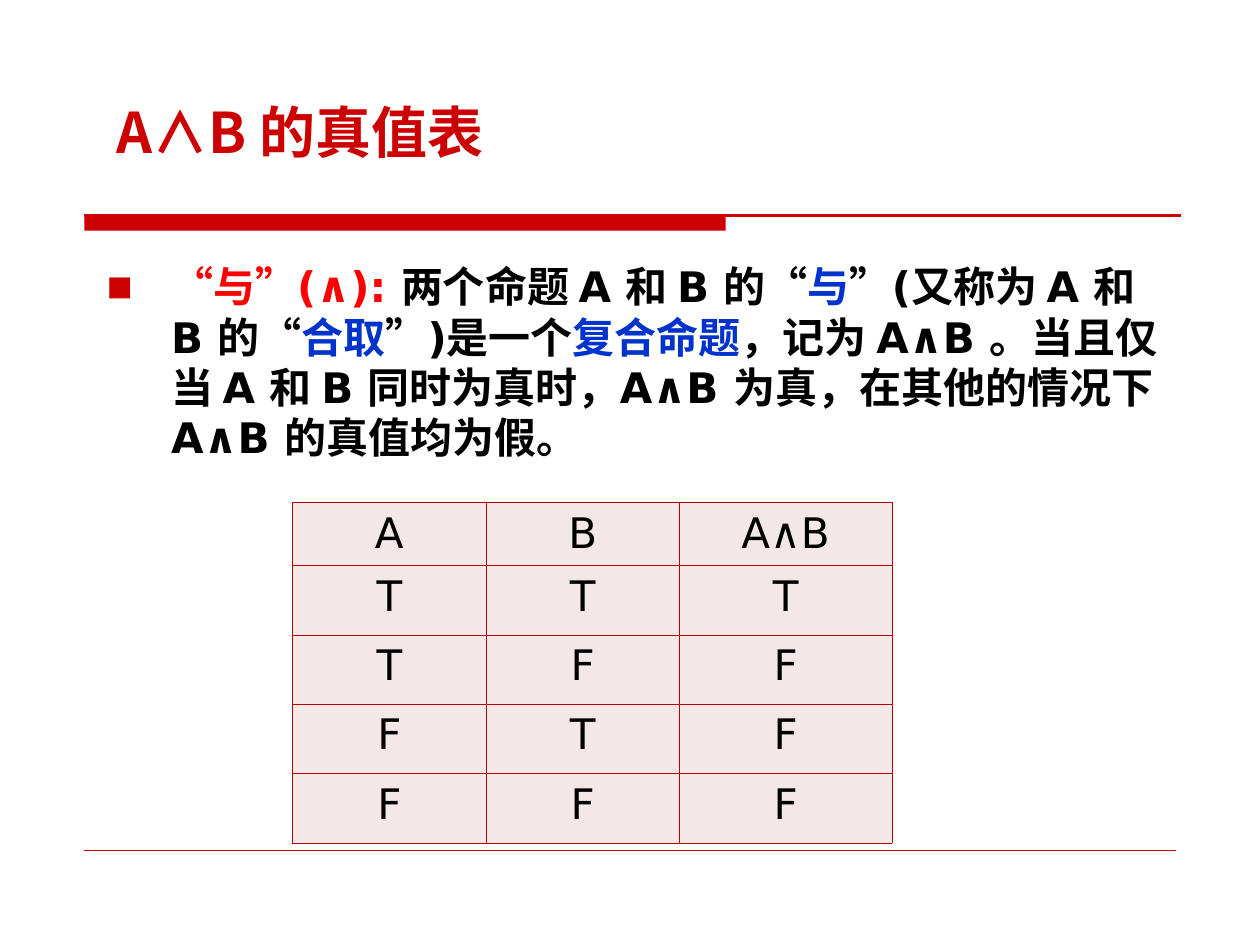
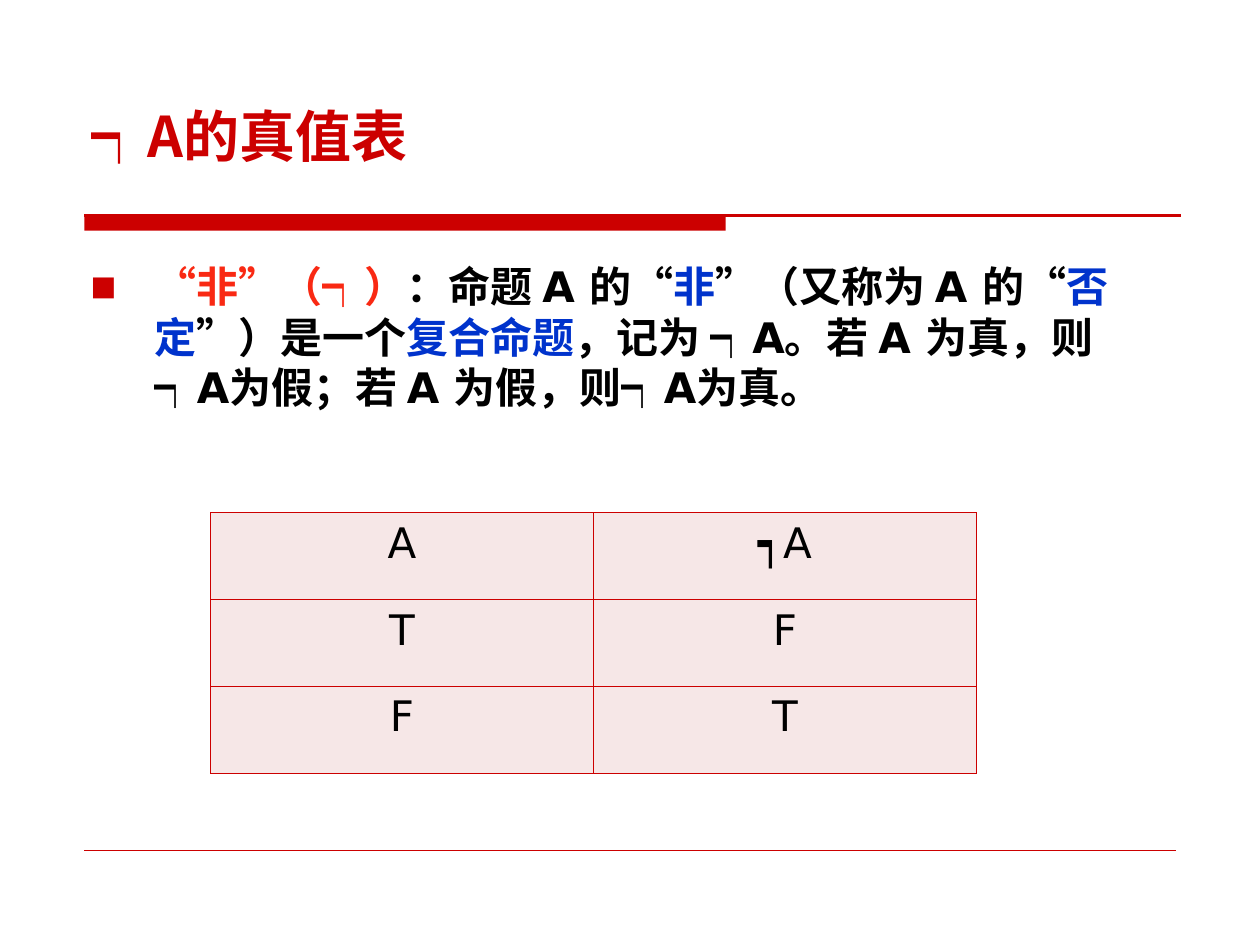
from lxml import etree
from pptx import Presentation
from pptx.dml.color import RGBColor
from pptx.enum.lang import MSO_LANGUAGE_ID
from pptx.enum.shapes import MSO_CONNECTOR, MSO_SHAPE
from pptx.enum.text import MSO_ANCHOR, PP_ALIGN
from pptx.oxml.ns import qn
from pptx.util import Inches, Pt

RED = RGBColor(0xCC, 0x00, 0x00)
DARK_RED = RGBColor(0xB9, 0x00, 0x00)
BRIGHT_RED = RGBColor(0xFF, 0x00, 0x00)
ORANGE_RED = RGBColor(0xF9, 0x29, 0x13)
BLUE = RGBColor(0x00, 0x33, 0xCC)
BLACK = RGBColor(0x00, 0x00, 0x00)
PALE_ROSE = RGBColor(0xF3, 0xE7, 0xE7)
PALE_PINK = RGBColor(0xF6, 0xE7, 0xE7)

CHINESE_FONT = "Noto Sans CJK SC"
BODY_FONT = "DejaVu Sans"
CHINESE = MSO_LANGUAGE_ID.SIMPLIFIED_CHINESE
RECTANGLE = MSO_SHAPE.RECTANGLE
STRAIGHT = MSO_CONNECTOR.STRAIGHT
BOTTOM, TOP = MSO_ANCHOR.BOTTOM, MSO_ANCHOR.TOP
CENTER = PP_ALIGN.CENTER

TITLE_FORMAT = {"size": Pt(32), "bold": True, "name": CHINESE_FONT}
BODY_FORMAT = {"size": Pt(24), "bold": True, "name": BODY_FONT}
CELL_FORMAT = {"size": Pt(24), "bold": False, "name": BODY_FONT}
BULLET_INDENT = 0.51

SLIDES = [
    {
        "title": "A∧B 的真值表",
        "title_box": (0.83, 0.68, 7.56, 0.68),
        "definition": [
            ("“与”(∧): ", BRIGHT_RED),
            ("两个命题 A 和 B 的“", BLACK),
            ("与", BLUE),
            ("”(又称为 A 和 B 的“", BLACK),
            ("合取", BLUE),
            ("”)是一个", BLACK),
            ("复合命题", BLUE),
            ("，记为 A∧B 。当且仅当 A 和 B 同时为真时，A∧B 为真，"
             "在其他的情况下 A∧B 的真值均为假。", BLACK),
        ],
        "definition_box": (0.75, 2.02, 8.66, 1.73),
        "truth_table": ["A B A∧B", "T T T", "T F F", "F T F", "F F F"],
        "table_corner": (2.32, 3.99),
        "column_widths": [1.54, 1.53, 1.69],
        "row_heights": [0.5] + [0.55] * 4,
        "side_margin": 0.06,
        "cell_fill": PALE_ROSE,
        "border": DARK_RED,
    },
    {
        "title": "┑A的真值表",
        "title_box": (0.63, 0.34, 8.75, 1.05),
        "definition": [
            ("“非”（┑）", ORANGE_RED),
            ("：命题 A 的“", BLACK),
            ("非", BLUE),
            ("”（又称为 A 的“", BLACK),
            ("否定", BLUE),
            ("”）是一个", BLACK),
            ("复合命题", BLUE),
            ("，记为 ┑A。若 A 为真，则 ┑A为假；若 A 为假，则┑A为真。", BLACK),
        ],
        "definition_box": (0.62, 2.02, 8.55, 1.44),
        "truth_table": ["A ┑A", "T F", "F T"],
        "table_corner": (1.67, 4.07),
        "column_widths": [3.04] * 2,
        "row_heights": [0.69] * 3,
        "side_margin": 0.1,
        "cell_fill": PALE_PINK,
        "border": RED,
    },
]


def add_run(paragraph, text, color, font_format, east_asian_font=CHINESE_FONT):
    run = paragraph.add_run()
    run.text = text
    for name, value in font_format.items():
        setattr(run.font, name, value)
    run.font.language_id = CHINESE
    run.font.color.rgb = color
    east_asian = etree.SubElement(run.font._element, qn("a:ea"))
    east_asian.set("typeface", east_asian_font)


def add_text_box(slide, box, anchor):
    """Add a wrapping text box and return its first paragraph."""
    frame = slide.shapes.add_textbox(*map(Inches, box)).text_frame
    frame.word_wrap = True
    frame.vertical_anchor = anchor
    return frame.paragraphs[0]


def add_rule(slide, left, right, top, width):
    """Add a thin horizontal red line."""
    rule = slide.shapes.add_connector(
        STRAIGHT, Inches(left), Inches(top), Inches(right), Inches(top))
    rule.line.color.rgb = RED
    rule.line.width = Pt(width)
    etree.SubElement(rule._element.spPr, qn("a:effectLst"))


def add_frame(slide):
    """Draw the title band and the two rules that every slide has."""
    band = slide.shapes.add_shape(
        RECTANGLE, Inches(0.67), Inches(1.71), Inches(5.09), Inches(0.12))
    band.shadow.inherit = False
    band.fill.solid()
    band.fill.fore_color.rgb = RED
    band.line.fill.background()
    add_rule(slide, 0.67, 9.37, 1.71, 1.25)
    add_rule(slide, 0.67, 9.33, 6.75, 0.25)


def add_square_bullet(paragraph):
    properties = paragraph._element.get_or_add_pPr()
    properties.set("marL", str(Inches(BULLET_INDENT)))
    properties.set("indent", str(-Inches(BULLET_INDENT)))
    color = etree.SubElement(properties, qn("a:buClr"))
    etree.SubElement(color, qn("a:srgbClr")).set("val", str(RED))
    etree.SubElement(properties, qn("a:buSzPct")).set("val", "65000")
    etree.SubElement(properties, qn("a:buFont")).set("typeface", BODY_FONT)
    etree.SubElement(properties, qn("a:buChar")).set("char", "■")


def add_borders(cell, color):
    properties = cell._tc.get_or_add_tcPr()
    for side in ("lnL", "lnR", "lnT", "lnB"):
        line = etree.SubElement(properties, qn(f"a:{side}"), w=str(Pt(0.45)))
        fill = etree.SubElement(line, qn("a:solidFill"))
        etree.SubElement(fill, qn("a:srgbClr")).set("val", str(color))


def add_truth_table(slide, content):
    rows = [line.split() for line in content["truth_table"]]
    widths, heights = content["column_widths"], content["row_heights"]
    left, top = content["table_corner"]
    table = slide.shapes.add_table(
        len(rows), len(widths), Inches(left), Inches(top),
        Inches(sum(widths)), Inches(sum(heights))).table
    table.first_row = table.horz_banding = False
    for column, width in zip(table.columns, widths):
        column.width = Inches(width)
    for row, height, values in zip(table.rows, heights, rows):
        row.height = Inches(height)
        for cell, value in zip(row.cells, values):
            cell.margin_left = cell.margin_right = Inches(content["side_margin"])
            add_borders(cell, content["border"])
            cell.fill.solid()
            cell.fill.fore_color.rgb = content["cell_fill"]
            paragraph = cell.text_frame.paragraphs[0]
            paragraph.alignment = CENTER
            add_run(paragraph, value, BLACK, CELL_FORMAT, BODY_FONT)


def build_slide(presentation, content):
    slide = presentation.slides.add_slide(presentation.slide_layouts[6])
    add_frame(slide)
    title = add_text_box(slide, content["title_box"], BOTTOM)
    add_run(title, content["title"], RED, TITLE_FORMAT)
    definition = add_text_box(slide, content["definition_box"], TOP)
    add_square_bullet(definition)
    definition.line_spacing = Pt(28.8)
    for text, color in content["definition"]:
        add_run(definition, text, color, BODY_FORMAT)
    add_truth_table(slide, content)


def main():
    presentation = Presentation()
    presentation.slide_width = Inches(10)
    presentation.slide_height = Inches(7.5)
    for content in SLIDES:
        build_slide(presentation, content)
    presentation.save("out.pptx")


if __name__ == "__main__":
    main()
